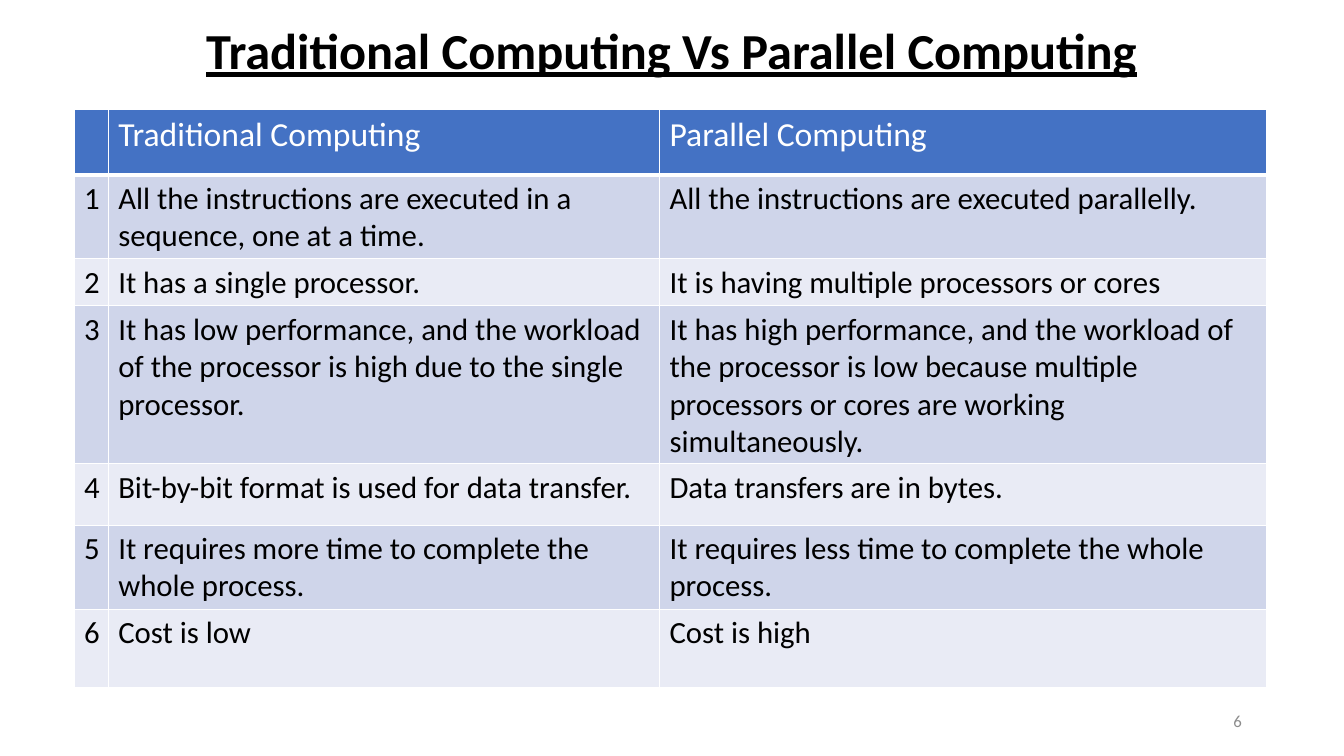
import pptx
import pptx.util
import pptx.dml.color
import pptx.enum.text
import pptx.oxml
import pptx.oxml.ns

Pt = pptx.util.Pt
RGB = pptx.dml.color.RGBColor
Align = pptx.enum.text.PP_ALIGN
Anchor = pptx.enum.text.MSO_ANCHOR

BLACK = RGB(0x00, 0x00, 0x00)
WHITE = RGB(0xFF, 0xFF, 0xFF)
GRAY = RGB(0x8C, 0x8C, 0x8C)
BLUE = RGB(0x44, 0x72, 0xC4)
BANDS = [RGB(0xE9, 0xEB, 0xF5), RGB(0xCF, 0xD5, 0xEA)]

COLS = [24.5, 393.8, 433.4]
ROWS = [46.8, 59, 33.1, 110.2, 43.9, 59, 56.2]
HEAD = ["", "Traditional Computing", "Parallel Computing"]
PAIRS = [
    ("All the instructions are executed in a sequence, one at a time.",
     "All the instructions are executed parallelly."),
    ("It has a single processor.",
     "It is having multiple processors or cores"),
    ("It has low performance, and the workload of the processor is high "
     "due to the single processor.",
     "It has high performance, and the workload of the processor is low because "
     "multiple processors or cores are working simultaneously."),
    ("Bit-by-bit format is used for data transfer.",
     "Data transfers are in bytes."),
    ("It requires more time to complete the whole process.",
     "It requires less time to complete the whole process."),
    ("Cost is low", "Cost is high"),
]


def write(frame, text, size=22, color=BLACK, align=Align.LEFT, bold=False,
          under=False, space=1.0):
    frame.word_wrap = True
    para = frame.paragraphs[0]
    para.alignment = align
    para.line_spacing = space
    run = para.add_run()
    run.text = text
    font = run.font
    font.name = "Calibri"
    font.size = Pt(size)
    font.bold = bold
    font.underline = under
    font.color.rgb = color


def label(slide, box, text, **form):
    frame = slide.shapes.add_textbox(*map(Pt, box)).text_frame
    frame.vertical_anchor = Anchor.MIDDLE
    write(frame, text, **form)


def border(cell, base):
    props = cell._tc.get_or_add_tcPr()
    sides = [("lnL", 1), ("lnR", 1), ("lnT", 1), ("lnB", base)]
    for spot, (side, width) in enumerate(sides):
        line = pptx.oxml.parse_xml(
            f'<a:{side} {pptx.oxml.ns.nsdecls("a")} w="{Pt(width)}">'
            f'<a:solidFill><a:srgbClr val="{WHITE}"/></a:solidFill></a:{side}>')
        props.insert(spot, line)


def grid(slide, left, top):
    lines = [HEAD] + [(str(n), *pair) for n, pair in enumerate(PAIRS, 1)]
    box = map(Pt, (left, top, sum(COLS), sum(ROWS)))
    table = slide.shapes.add_table(len(ROWS), len(COLS), *box).table
    for col, width in zip(table.columns, COLS):
        col.width = Pt(width)
    for row, (height, texts) in enumerate(zip(ROWS, lines)):
        table.rows[row].height = Pt(height)
        first = row == 0
        for col, text in enumerate(texts):
            cell = table.cell(row, col)
            cell.fill.solid()
            cell.fill.fore_color.rgb = BLUE if first else BANDS[row % 2]
            border(cell, 3 if first else 1)
            if text:
                write(cell.text_frame, text, size=24 if first else 22,
                      color=WHITE if first else BLACK)


def main():
    deck = pptx.Presentation()
    deck.slide_width = Pt(960)
    deck.slide_height = Pt(540)
    slide = deck.slides.add_slide(deck.slide_layouts[6])
    label(slide, (79.2, 13.7, 801.4, 49),
          "Traditional Computing Vs Parallel Computing",
          size=36, align=Align.CENTER, bold=True, under=True, space=0.9)
    grid(slide, 52.8, 78)
    label(slide, (678.2, 500.4, 216, 28.8), "6",
          size=12, color=GRAY, align=Align.RIGHT)
    deck.save("out.pptx")


if __name__ == "__main__":
    main()
